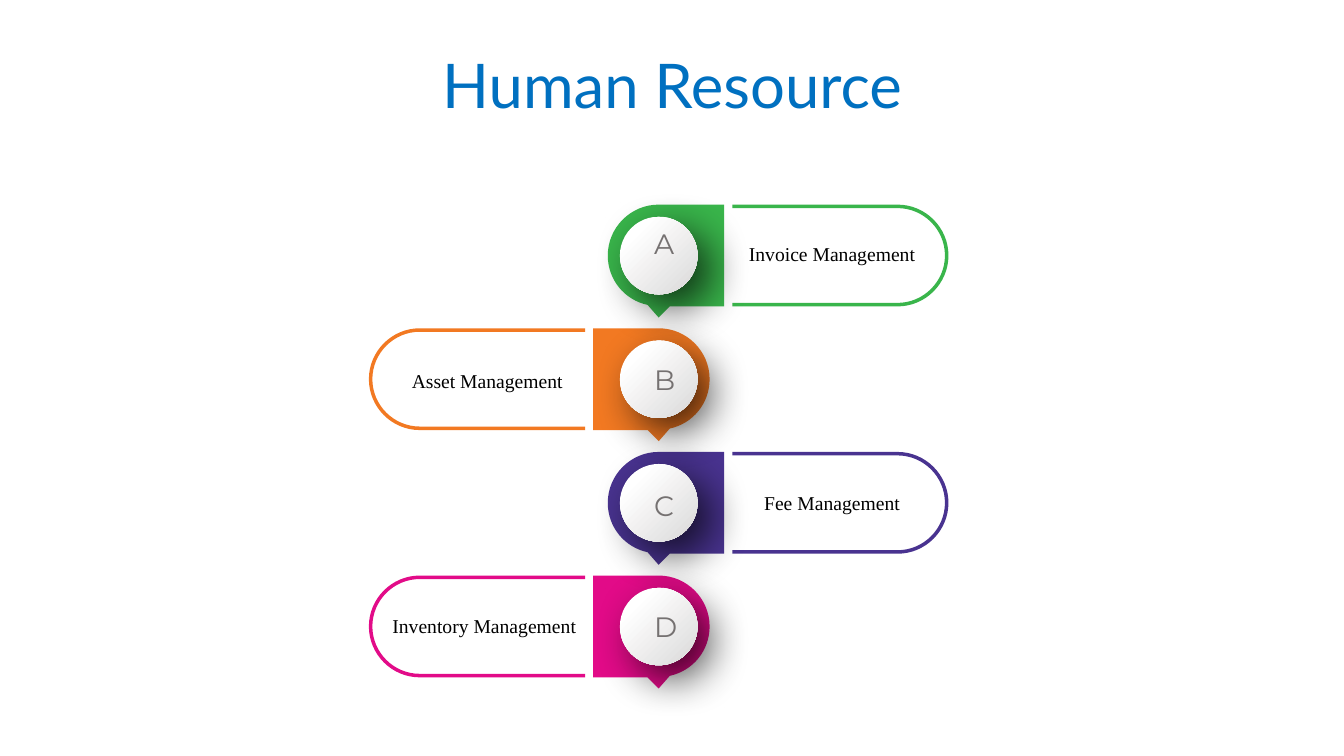
import lxml.etree
import pptx
import pptx.dml.color
import pptx.enum.shapes
import pptx.enum.text
import pptx.oxml.ns
import pptx.util

Inches = pptx.util.Inches
RGBColor = pptx.dml.color.RGBColor
qn = pptx.oxml.ns.qn

BLUE = RGBColor(0x00, 0x70, 0xC0)
GREEN = RGBColor(0x39, 0xB5, 0x4B)
ORANGE = RGBColor(0xF2, 0x79, 0x22)
PURPLE = RGBColor(0x49, 0x33, 0x90)
PINK = RGBColor(0xE2, 0x0B, 0x88)
WHITE = RGBColor(0xFF, 0xFF, 0xFF)
SILVER = RGBColor(0xDA, 0xD9, 0xD9)
GREY = RGBColor(0x75, 0x71, 0x71)
BLACK = RGBColor(0x00, 0x00, 0x00)

BADGE_LEFT, BADGE = 6.15, 0.77
AXIS = BADGE_LEFT + BADGE / 2
FIRST_TOP, LAST_TOP = 2.03, 5.71
CARD_HEIGHT = 1.01
RADIUS = CARD_HEIGHT / 2
INNER_RADIUS = 0.47
TAB_END = 0.65       # distances from the axis
FRAME_START = 0.73
FRAME_ARC = 2.37
POINTER = 0.11       # half width and depth of the pointer
BEZIER = 0.55        # control point distance of a quarter circle

# Letter, its offset; label, its left, offset and width; colour; side (1 right, -1 left)
MODULES = [
    ("A", 0.17, "Invoice Management", 7.3, 0.32, 1.91, GREEN, 1),
    ("B", 0.29, "Asset Management", 3.88, 0.35, 1.91, ORANGE, -1),
    ("C", 0.31, "Fee Management", 7.3, 0.34, 1.91, PURPLE, 1),
    ("D", 0.29, "Inventory Management", 3.77, 0.33, 2.07, PINK, -1),
]


def half_circle(radius, down):
    """Two curves round the right side; down is 1 from the top, -1 from the bottom."""
    handle = BEZIER * radius
    end = down * radius
    return [[(handle, -end), (radius, -down * handle), (radius, 0)],
            [(radius, down * handle), (handle, end), (0, end)]]


def add_outline(slide, segments, centre_x, centre_y, side, color):
    """Draw segments of one point as lines and of three points as curves."""
    points = [(Inches(centre_x + side * x), Inches(centre_y + y))
              for segment in segments for x, y in segment]
    builder = slide.shapes.build_freeform(*points[0])
    builder.add_line_segments(points[1:], close=True)
    shape = builder.convert_to_shape()
    shape.shadow.inherit = False
    shape.fill.solid()
    shape.fill.fore_color.rgb = color
    shape.line.fill.background()
    # Join the three lines of each curve into one Bezier element
    lines = iter(list(shape.element.iter(qn("a:lnTo"))))
    for segment in segments[1:]:
        parts = [next(lines) for _ in segment]
        if len(parts) == 3:
            curve = lxml.etree.Element(qn("a:cubicBezTo"))
            parts[0].addprevious(curve)
            for part in parts:
                curve.append(part[0])
                part.getparent().remove(part)


def add_card(slide, top, color, side):
    centre_y = top + RADIUS
    # Open frame with a round outer end
    start = FRAME_START - FRAME_ARC
    frame = [[(start, -RADIUS)], [(0, -RADIUS)], *half_circle(RADIUS, 1),
             [(start, RADIUS)], [(start, INNER_RADIUS)], [(0, INNER_RADIUS)],
             *half_circle(INNER_RADIUS, -1), [(start, -INNER_RADIUS)]]
    add_outline(slide, frame, AXIS + side * FRAME_ARC, centre_y, side, color)
    # Solid tab with a pointer below
    tab = [[(-TAB_END, -RADIUS)], [(0, -RADIUS)], half_circle(RADIUS, 1)[0],
           [(RADIUS, 0.24), (0.34, 0.44), (POINTER, 0.49)],
           [(0, RADIUS + POINTER)], [(-POINTER, RADIUS)], [(-TAB_END, RADIUS)]]
    add_outline(slide, tab, AXIS, centre_y, -side, color)


def add_badge(slide, top):
    badge = slide.shapes.add_shape(
        pptx.enum.shapes.MSO_SHAPE.OVAL, Inches(BADGE_LEFT),
        Inches(top + RADIUS - BADGE / 2), Inches(BADGE), Inches(BADGE))
    badge.line.fill.background()
    badge.fill.gradient()
    badge.fill.gradient_angle = 315
    for stop, position, color in zip(badge.fill.gradient_stops, (0.2, 1), (WHITE, SILVER)):
        stop.position = position
        stop.color.rgb = color
    # Soft shadow to the lower right
    badge.shadow.inherit = False
    effects = badge.element.spPr.find(qn("a:effectLst"))
    shadow = lxml.etree.SubElement(
        effects, qn("a:outerShdw"), blurRad=str(pptx.util.Pt(30)),
        dist=str(pptx.util.Pt(14)), dir="2700000", algn="tl", rotWithShape="0")
    shade = lxml.etree.SubElement(shadow, qn("a:srgbClr"), val=str(BLACK))
    lxml.etree.SubElement(shade, qn("a:alpha"), val="70000")


def format_text(text_frame, text, size, font_name, color):
    text_frame.text = text
    text_frame.word_wrap = True
    paragraph = text_frame.paragraphs[0]
    paragraph.alignment = pptx.enum.text.PP_ALIGN.CENTER
    font = paragraph.runs[0].font
    font.size = pptx.util.Pt(size)
    font.name = font_name
    font.color.rgb = color


def add_text(slide, left, top, width, height, *style):
    box = slide.shapes.add_textbox(Inches(left), Inches(top), Inches(width), Inches(height))
    format_text(box.text_frame, *style)


def add_title(slide, left, top, width, height):
    title = slide.shapes.title
    title.left, title.top = Inches(left), Inches(top)
    title.width, title.height = Inches(width), Inches(height)
    format_text(title.text_frame, "Human Resource", 44, "Lato", BLUE)
    title.text_frame.auto_size = pptx.enum.text.MSO_AUTO_SIZE.NONE
    title.text_frame.vertical_anchor = pptx.enum.text.MSO_ANCHOR.TOP
    title.text_frame.paragraphs[0].line_spacing = 0.9


def main():
    presentation = pptx.Presentation()
    presentation.slide_width = Inches(40 / 3)
    presentation.slide_height = Inches(7.5)
    slide = presentation.slides.add_slide(presentation.slide_layouts[5])
    add_title(slide, 3.47, 0.5, 6.4, 0.63)

    pitch = (LAST_TOP - FIRST_TOP) / (len(MODULES) - 1)
    rows = [(FIRST_TOP + index * pitch, module) for index, module in enumerate(MODULES)]
    # Cards lie below all badges
    for top, (*_, color, side) in reversed(rows):
        add_card(slide, top, color, side)
    for top, _ in rows:
        add_badge(slide, top)
    # Letters and labels
    for top, (letter, letter_offset, label, left, label_offset, width, *_) in rows:
        add_text(slide, 6.39, top + letter_offset, 0.32, 0.44, letter, 20, "Montserrat", GREY)
        add_text(slide, left, top + label_offset, width, 0.34,
                 label, 14, "Times New Roman", BLACK)
    presentation.save("out.pptx")


if __name__ == "__main__":
    main()
